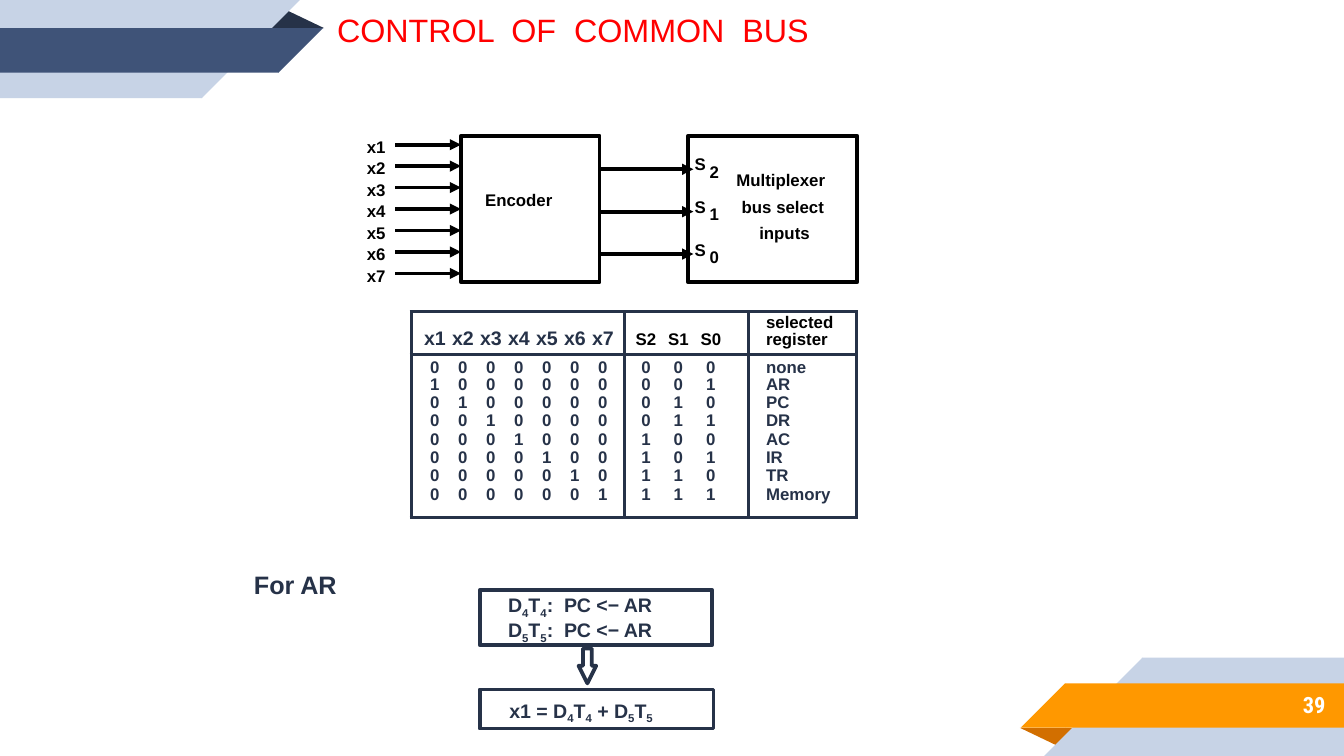
from dataclasses import dataclass

from lxml import etree
from pptx import Presentation
from pptx.dml.color import RGBColor
from pptx.enum.shapes import MSO_CONNECTOR, MSO_SHAPE as Shape
from pptx.enum.text import MSO_ANCHOR as Anchor, MSO_AUTO_SIZE, PP_ALIGN as Align
from pptx.oxml.ns import qn
from pptx.util import Pt


@dataclass(frozen=True)
class Theme:
    font: str = "Arial"
    number_font: str = "Roboto Condensed"
    red: str = "FF0000"
    navy: str = "263248"
    blue: str = "3F5378"
    pale: str = "C7D3E6"
    orange: str = "FF9800"
    rust: str = "D26F00"
    black: str = "000000"
    white: str = "FFFFFF"
    title: float = 17.3
    heading: float = 13.5
    number: float = 12
    formula: float = 10.5
    label: float = 9
    stroke: float = 2


THEME = Theme()
WIDTH, HEIGHT = 720, 405
NO_TABLE_STYLE = "{2D5ABB26-0587-4C30-8999-92F81FD0307C}"

TITLE = "CONTROL  OF  COMMON  BUS"
INPUTS = ["x1", "x2", "x3", "x4", "x5", "x6", "x7"]
SELECTS = ["S2", "S1", "S0"]
REGISTERS = ["none", "AR", "PC", "DR", "AC", "IR", "TR", "Memory"]
BLOCKS = [(247, 72.7, 74.2, 78.5), (368.6, 72.7, 90.7, 78.5)]
BLOCK_LABELS = [
    ("Encoder", 254.9, 100.1, 46.8),
    ("Multiplexer", 389.5, 89.3, 59),
    ("bus select", 392.4, 103.7, 55.4),
    ("inputs", 401.8, 117.4, 38.2),
]
# Every second piece of a formula is a subscript.
TRANSFERS = [["D", "4", "T", "4", ":  PC <− AR"], ["D", "5", "T", "5", ":  PC <− AR"]]
RESULT = [["x1 = D", "4", "T", "4", " + D", "5", "T", "5"]]
FORMULA_BOXES = [(257, 316.1, 124.6, 29.5), (257, 369.4, 125.3, 20.9)]

# Top-left corner ribbon: shape, left, top, width, height, colour role
RIBBON = [
    (Shape.ISOSCELES_TRIANGLE, 142.6, 5, 31, 10.1, "fold"),
    (Shape.RECTANGLE, 0, 0, 108.3, 52.6, "pale"),
    (Shape.RIGHT_TRIANGLE, 108, 0, 52.6, 52.6, "pale"),
    (Shape.RECTANGLE, 0, 15.1, 149.4, 23.8, "band"),
    (Shape.RIGHT_TRIANGLE, 149.3, 15.1, 23.8, 23.8, "band"),
]
TOP_COLORS = {"fold": THEME.navy, "pale": THEME.pale, "band": THEME.blue}
BOTTOM_COLORS = {"fold": THEME.rust, "pale": THEME.pale, "band": THEME.orange}

TABLE_LEFT, TABLE_TOP = 220.3, 167
# Column width, left margin, right margin
COLUMNS = ([(20.2, 5.2, 0)] + [(15, 0, 0)] * 5 + [(19.3, 0, 4.3)]
           + [(20, 2.6, 0), (17.4, 0, 0), (28.8, 0, 11.4), (57.8, 9.5, 0)])
ROW_HEIGHTS = [23.1, 11.9] + [9.65] * 6 + [16.7]
# Grid lines that are ruled, counted from the left and top edges
RULED_COLUMNS = (0, 7, 10, 11)
RULED_ROWS = (0, 1, 9)


def color(value):
    return RGBColor.from_string(value)


def add_run(para, text, size, ink, bold=True, font=THEME.font, subscript=False):
    span = para.add_run()
    span.text = text
    span.font.name, span.font.size, span.font.bold = font, Pt(size), bold
    span.font.color.rgb = color(ink)
    if subscript:
        span.font._element.set("baseline", "-25000")


def add_text(slide, lines, place, size, ink, inset=(5, 2.9), spacing=0.9, wrap=False,
             anchor=Anchor.TOP, align=Align.LEFT, **run_style):
    """Add a text box; each line is a list of alternating normal and subscript pieces."""
    box = slide.shapes.add_textbox(*map(Pt, place))
    frame = box.text_frame
    frame.word_wrap = wrap
    frame.auto_size = MSO_AUTO_SIZE.NONE if wrap else MSO_AUTO_SIZE.SHAPE_TO_FIT_TEXT
    frame.vertical_anchor = anchor
    frame.margin_left = frame.margin_right = Pt(inset[0])
    frame.margin_top = frame.margin_bottom = Pt(inset[1])
    for number, pieces in enumerate(lines):
        para = frame.add_paragraph() if number else frame.paragraphs[0]
        para.line_spacing, para.alignment = spacing, align
        for index, piece in enumerate(pieces):
            add_run(para, piece, size, ink, subscript=index % 2 == 1, **run_style)


def add_label(slide, text, left, top, width):
    add_text(slide, [[text]], (left, top, width, 15.1), THEME.label, THEME.black)


def add_outline(slide, kind, place, ink):
    shape = slide.shapes.add_shape(kind, *map(Pt, place))
    shape.shadow.inherit = False
    shape.fill.background()
    shape.line.color.rgb = color(ink)
    shape.line.width = Pt(THEME.stroke)
    return shape


def add_arrow(slide, start, end, y):
    arrow = slide.shapes.add_connector(MSO_CONNECTOR.STRAIGHT, Pt(start), Pt(y), Pt(end), Pt(y))
    arrow.line.color.rgb = color(THEME.black)
    arrow.line.width = Pt(THEME.stroke)
    etree.SubElement(arrow.line._get_or_add_ln(), qn("a:tailEnd"), type="triangle")
    etree.SubElement(arrow.element.spPr, qn("a:effectLst"))


def add_ribbon(slide, colors, bottom=False):
    """Draw the corner ribbon, turned half round the slide centre for the bottom one."""
    for kind, left, top, width, height, role in RIBBON:
        if bottom:
            left, top = WIDTH - left - width, HEIGHT - top - height
        piece = slide.shapes.add_shape(kind, Pt(left), Pt(top), Pt(width), Pt(height))
        piece.shadow.inherit = False
        piece.fill.solid()
        piece.fill.fore_color.rgb = color(colors[role])
        piece.line.fill.background()
        is_fold = role == "fold"
        piece.rotation = 180 if bottom == is_fold else 0
        if is_fold:
            piece.adjustments[0] = 0.32
        else:
            piece.element.spPr.get_or_add_xfrm().set("flipH", "1")


def set_borders(cell, row, column):
    """State all four sides, so that neighbouring cells always agree on a shared edge."""
    ruled = {"L": column in RULED_COLUMNS, "R": column + 1 in RULED_COLUMNS,
             "T": row in RULED_ROWS, "B": row + 1 in RULED_ROWS}
    properties = cell._tc.get_or_add_tcPr()
    for position, (side, drawn) in enumerate(ruled.items()):
        line = etree.Element(qn(f"a:ln{side}"), w=str(Pt(THEME.stroke) if drawn else 0))
        if drawn:
            fill = etree.SubElement(line, qn("a:solidFill"))
            etree.SubElement(fill, qn("a:srgbClr"), val=THEME.navy)
        else:
            etree.SubElement(line, qn("a:noFill"))
        properties.insert(position, line)


def table_rows():
    """Give the header, then one row per register: one-hot inputs and the binary code."""
    yield INPUTS + SELECTS + ["selected\nregister"]
    for code, register in enumerate(REGISTERS):
        one_hot = [str(int(code == line)) for line in range(1, len(INPUTS) + 1)]
        yield one_hot + list(f"{code:03b}") + [register]


def add_truth_table(slide):
    size = sum(width for width, *_ in COLUMNS), sum(ROW_HEIGHTS)
    table = slide.shapes.add_table(len(ROW_HEIGHTS), len(COLUMNS), Pt(TABLE_LEFT),
                                   Pt(TABLE_TOP), *map(Pt, size)).table
    table.first_row = table.horz_banding = False
    table._tbl.tblPr.find(qn("a:tableStyleId")).text = NO_TABLE_STYLE
    for column, (width, *_) in zip(table.columns, COLUMNS):
        column.width = Pt(width)
    for r, values in enumerate(table_rows()):
        table.rows[r].height = Pt(ROW_HEIGHTS[r])
        for c, value in enumerate(values):
            cell = table.cell(r, c)
            cell.fill.background()
            cell.margin_left, cell.margin_right = (Pt(margin) for margin in COLUMNS[c][1:])
            cell.margin_top, cell.margin_bottom = Pt(0), Pt(0 if r else 3)
            cell.vertical_anchor = Anchor.BOTTOM if r < 2 else Anchor.TOP
            is_input_head = r == 0 and c < len(INPUTS)
            ink = THEME.navy if r or is_input_head else THEME.black
            for number, text in enumerate(value.split("\n")):
                frame = cell.text_frame
                para = frame.add_paragraph() if number else frame.paragraphs[0]
                para.line_spacing = 0.9
                para.alignment = Align.LEFT if c == len(COLUMNS) - 1 else Align.CENTER
                add_run(para, text, THEME.formula if is_input_head else THEME.label, ink)
            set_borders(cell, r, c)


def add_bus_diagram(slide):
    for place in BLOCKS:
        add_outline(slide, Shape.RECTANGLE, place, THEME.black)
    for index, name in enumerate(INPUTS):
        add_label(slide, name, 191.5, 71.3 + 11.52 * index, 20.9)
        add_arrow(slide, 211.7, 247, 77.5 + 11.5 * index)
    for index, (letter, digit) in enumerate(SELECTS):
        top = 80.6 + 23 * index
        add_label(slide, letter, 367.2, top, 16.6)
        add_label(slide, digit, 375.1, top + 4.1, 15.8)
        add_arrow(slide, 321.8, 371.5, 90.7 + 22.7 * index)
    for label in BLOCK_LABELS:
        add_label(slide, *label)


def add_example(slide):
    tight = (3.6, 1.4)
    add_text(slide, [["For AR"]], (132.5, 305.3, 53.3, 18), THEME.heading, THEME.navy, tight)
    add_text(slide, TRANSFERS, (268.6, 316.1, 86.4, 27.4), THEME.formula, THEME.navy, tight, 0.96)
    add_text(slide, RESULT, (269.3, 373, 87.1, 14.4), THEME.formula, THEME.navy, tight)
    for place in FORMULA_BOXES:
        add_outline(slide, Shape.RECTANGLE, place, THEME.navy)
    arrow = add_outline(slide, Shape.DOWN_ARROW, (310, 347.4, 9.4, 18.7), THEME.navy)
    arrow.adjustments[0], arrow.adjustments[1] = 0.5, 1


def main():
    deck = Presentation()
    deck.slide_width, deck.slide_height = Pt(WIDTH), Pt(HEIGHT)
    slide = deck.slides.add_slide(deck.slide_layouts[6])
    add_ribbon(slide, TOP_COLORS)
    add_ribbon(slide, BOTTOM_COLORS, bottom=True)
    add_text(slide, [["39"]], (599.8, 365, 117.4, 25.2), THEME.number, THEME.white, (7.2, 7.2), 1,
             True, Anchor.MIDDLE, Align.RIGHT, font=THEME.number_font)
    add_text(slide, [[TITLE]], (173.5, 5.8, 455, 24.5), THEME.title, THEME.red, (7.2, 3.6), 0.8,
             True, Anchor.MIDDLE, bold=False)
    add_example(slide)
    add_bus_diagram(slide)
    add_truth_table(slide)
    deck.save("out.pptx")


if __name__ == "__main__":
    main()
